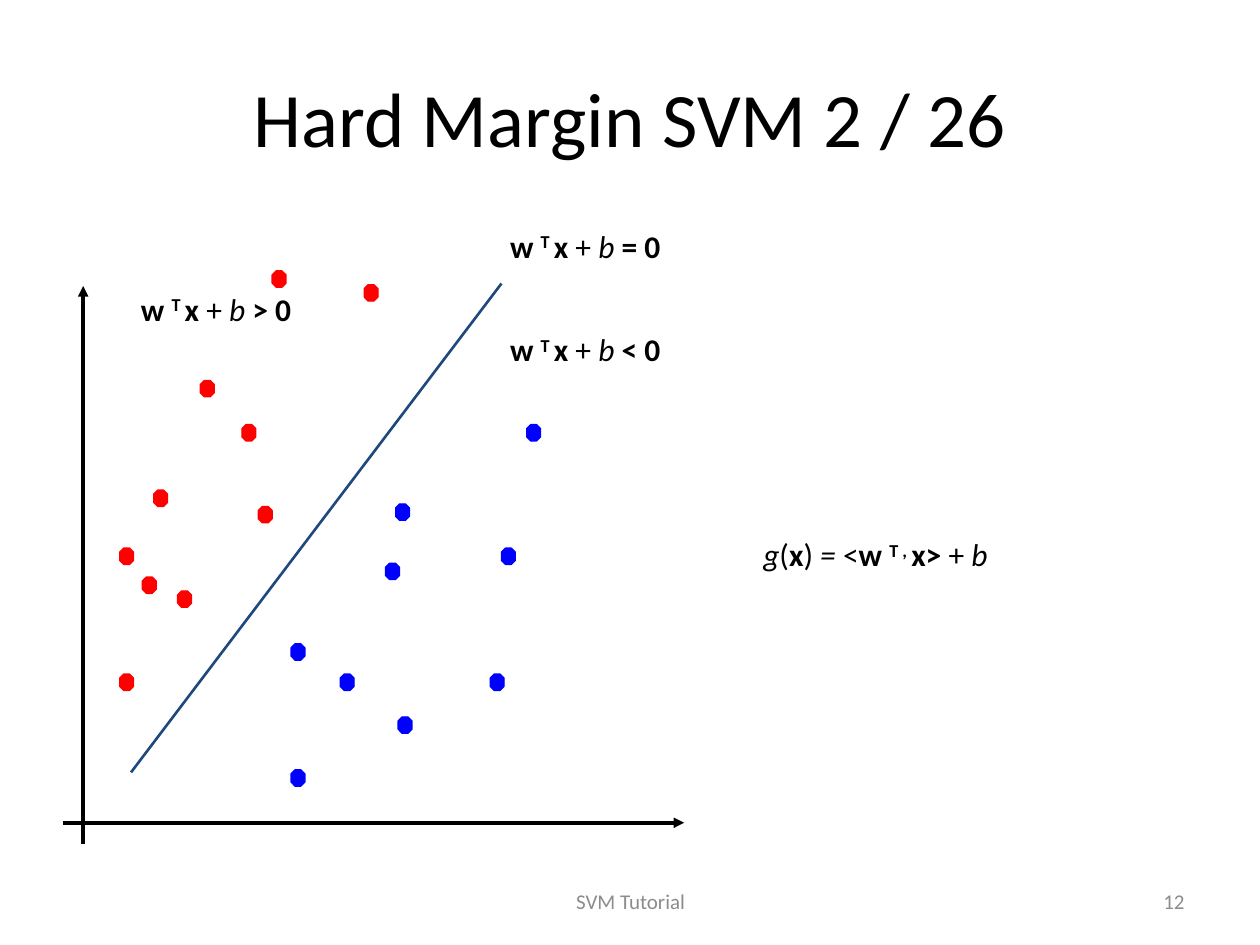
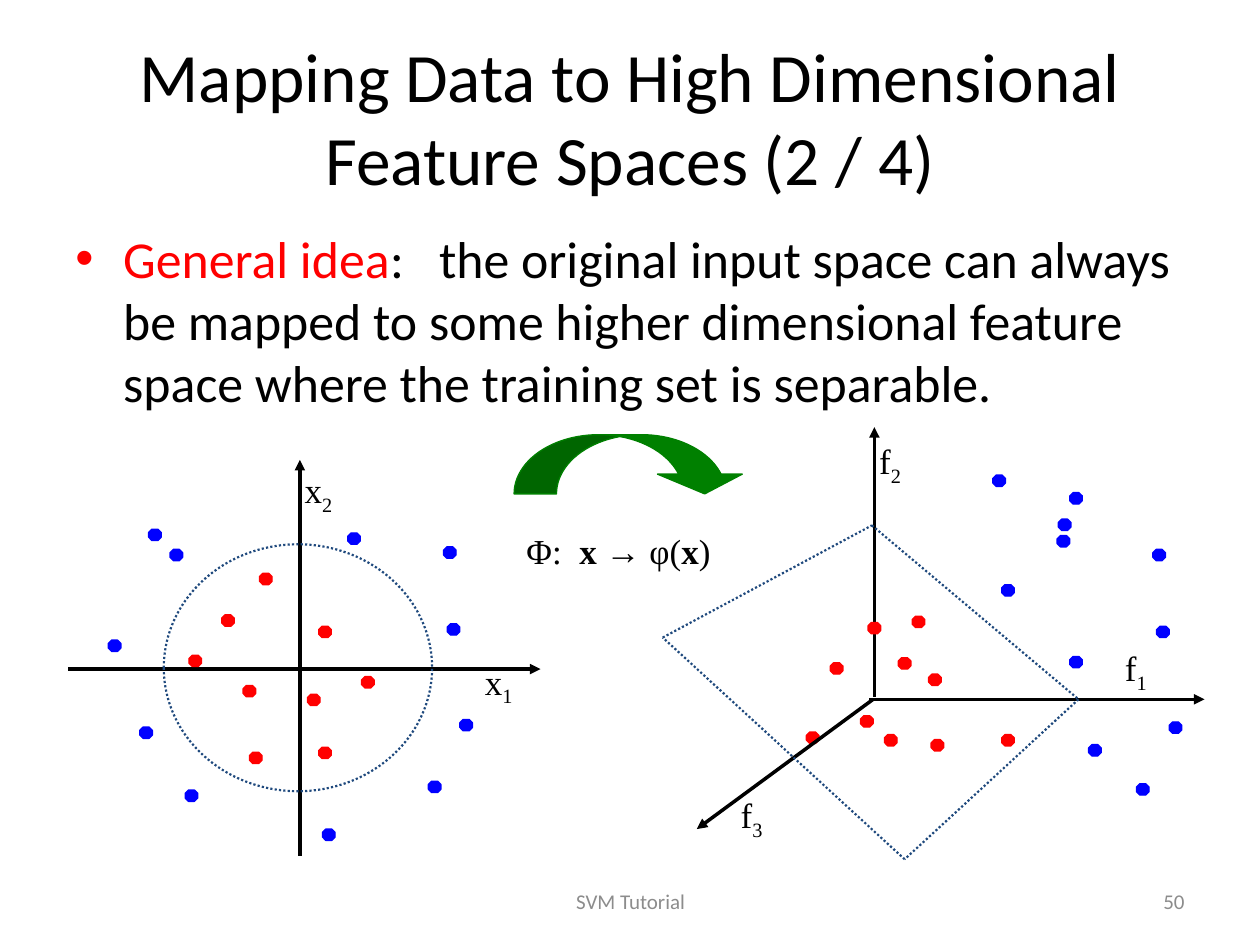
import pptx
import pptx.util
import pptx.dml.color
import pptx.enum.dml
import pptx.enum.shapes
import pptx.enum.text
import pptx.oxml
import pptx.oxml.ns

Inches = pptx.util.Inches
Pt = pptx.util.Pt
RGB = pptx.dml.color.RGBColor.from_string
ALIGN = pptx.enum.text.PP_ALIGN
ANCHOR = pptx.enum.text.MSO_ANCHOR
SHAPE = pptx.enum.shapes.MSO_SHAPE
DOTTED = pptx.enum.dml.MSO_LINE.ROUND_DOT
NS = pptx.oxml.ns.nsdecls("a")

COLORS = {
    "text": "000000", "footer": "8C8C8C", "boundary": "1F497D",
    "red": "FF0000", "blue": "0000FF", "arrow": "008000",
}
SANS, SERIF = "Calibri", "Times New Roman"


def add_text(slide, box, runs, size, font=SANS, color="text",
             align=ALIGN.LEFT, anchor=ANCHOR.TOP):
    """Add one paragraph; run styles: b bold, i italic, ^ superscript, _ subscript."""
    frame = slide.shapes.add_textbox(*map(Inches, box)).text_frame
    frame.word_wrap = True
    frame.vertical_anchor = anchor
    paragraph = frame.paragraphs[0]
    paragraph.alignment = align
    for text, style in runs:
        run = paragraph.add_run()
        run.text = text
        run.font.name, run.font.size = font, Pt(size)
        run.font.color.rgb = RGB(COLORS[color])
        run.font.bold, run.font.italic = "b" in style, "i" in style
        for mark, baseline in (("^", "30000"), ("_", "-25000")):
            if mark in style:
                run.font._element.set("baseline", baseline)
    return paragraph


def add_line(slide, start, end, color="text", width=2, dash=None, arrow=False):
    line = slide.shapes.add_connector(
        pptx.enum.shapes.MSO_CONNECTOR.STRAIGHT, *map(Inches, start + end))
    line.line.color.rgb = RGB(COLORS[color])
    line.line.width = Pt(width)
    if dash:
        line.line.dash_style = dash
    if arrow:
        line.line._get_or_add_ln().append(
            pptx.oxml.parse_xml(f'<a:tailEnd {NS} type="triangle"/>'))
    line._element.spPr.append(pptx.oxml.parse_xml(f"<a:effectLst {NS}/>"))


prs = pptx.Presentation()
prs.slide_width, prs.slide_height = Inches(10), Inches(7.5)

# Titles and footers
slides = []
for title, title_size, number in (
        ("Hard Margin SVM 2 / 26", 44, "12"),
        ("Mapping Data to High Dimensional Feature Spaces (2 / 4)", 39.6, "50")):
    slide = prs.slides.add_slide(prs.slide_layouts[6])
    add_text(slide, (0.5, 0.3, 9, 1.25), [(title, "")], title_size,
             align=ALIGN.CENTER, anchor=ANCHOR.MIDDLE)
    add_text(slide, (3.42, 6.95, 3.17, 0.4), [("SVM Tutorial", "")], 12,
             color="footer", align=ALIGN.CENTER, anchor=ANCHOR.MIDDLE)
    add_text(slide, (7.17, 6.95, 2.33, 0.4), [(number, "")], 12,
             color="footer", align=ALIGN.RIGHT, anchor=ANCHOR.MIDDLE)
    slides.append(slide)
margin, mapping = slides

# Axes
for slide, start, end in (
        (margin, (0.66, 6.7), (0.66, 2.27)),
        (margin, (0.5, 6.53), (5.43, 6.53)),
        (mapping, (2.38, 6.79), (2.38, 3.65)),
        (mapping, (0.54, 5.31), (4.29, 5.31)),
        (mapping, (6.94, 5.53), (6.94, 3.39)),
        (mapping, (6.9, 5.55), (9.56, 5.55))):
    add_line(slide, start, end, arrow=True)

# Data points of both classes: top left corners by plot
margin_dot, mapping_dot = (0.11, 0.13), (0.1, 0.09)
classes = (
    (margin, margin_dot, "red", (
        (1.92, 3.37), (1.22, 3.89), (1.41, 4.69), (0.95, 5.35), (1.59, 3.02),
        (0.95, 4.35), (1.13, 4.58), (2.05, 4.02), (2.16, 2.15), (2.89, 2.26))),
    (margin, margin_dot, "blue", (
        (3.14, 4), (2.7, 5.35), (3.89, 5.35), (2.31, 6.11), (3.06, 4.47),
        (2.31, 5.11), (3.16, 5.69), (3.98, 4.35), (4.18, 3.37))),
    # Input space
    (mapping, mapping_dot, "red", (
        (1.76, 4.88), (1.93, 5.44), (2.53, 5.93), (2.06, 4.55), (1.5, 5.2),
        (1.98, 5.97), (2.53, 4.97), (2.87, 5.37), (2.44, 5.51))),
    (mapping, mapping_dot, "blue", (
        (3.55, 4.95), (3.4, 6.2), (0.86, 5.08), (2.56, 6.58), (3.65, 5.71),
        (1.47, 6.27), (1.11, 5.77), (1.18, 4.2), (2.76, 4.23), (1.35, 4.36),
        (3.52, 4.34))),
    # Feature space
    (mapping, mapping_dot, "red", (
        (7.24, 4.89), (6.59, 5.26), (7.02, 5.83), (7.95, 5.83), (6.89, 4.94),
        (7.13, 5.22), (7.39, 5.87), (7.37, 5.35), (6.83, 5.68), (6.4, 5.81))),
    (mapping, mapping_dot, "blue", (
        (9.18, 4.97), (9.02, 6.22), (8.49, 3.91), (8.49, 5.21), (9.28, 5.73),
        (7.95, 4.64), (8.64, 5.91), (8.4, 4.12), (8.39, 4.25), (7.88, 3.77),
        (9.15, 4.36))),
)
for slide, dot_size, color, corners in classes:
    for corner in corners:
        point = slide.shapes.add_shape(SHAPE.OCTAGON, *map(Inches, corner + dot_size))
        point.shadow.inherit = False
        point.fill.solid()
        point.fill.fore_color.rgb = RGB(COLORS[color])
        point.line.color.rgb = RGB(COLORS[color])
        point.line.width = Pt(0.75)

# Hard margin: separating line, half-plane labels and decision function
add_line(margin, (1.04, 6.13), (3.98, 2.25), "boundary", 1.5)
for left, top, relation in ((3.95, 1.75, " = 0"), (3.95, 2.57, " < 0"),
                            (1.02, 2.25, " > 0")):
    add_text(margin, (left, top, 3.22, 0.4),
             [("w ", "b"), ("T ", "b^"), ("x ", "b"), ("+ ", ""), ("b", "i"),
              (relation, "b")], 18)
add_text(margin, (5.96, 4.2, 3.54, 0.4),
         [("g", "i"), ("(", ""), ("x", "b"), (")", ""), (" = ", "i"), ("<", ""),
          ("w ", "b"), ("T , ", "b^"), ("x> ", "b"), ("+ ", ""), ("b", "i")], 18)

# Mapping: general idea bullet
idea = add_text(
    mapping, (0.5, 1.75, 9, 1.92),
    [("General idea", ""), (":", ""), (" ", ""),
     ("the original input space can always be mapped to some higher dimensional "
      "feature space where the training set is separable.", "")], 29.6)
idea.runs[0].font.color.rgb = RGB(COLORS["red"])
idea_format = idea._p.get_or_add_pPr()
idea_format.set("marL", str(Inches(0.38)))
idea_format.set("indent", str(Inches(-0.38)))
for bullet in (f'<a:buFont {NS} typeface="Arial"/>', f'<a:buChar {NS} char="•"/>'):
    idea_format.append(pptx.oxml.parse_xml(bullet))

# Mapping: circle in the input space, plane in the feature space
circle = mapping.shapes.add_shape(SHAPE.OVAL, *map(Inches, (1.3, 4.32, 2.13, 1.96)))
circle.shadow.inherit = False
circle.fill.background()
circle.line.color.rgb = RGB(COLORS["boundary"])
circle.line.width = Pt(1.25)
circle.line.dash_style = DOTTED
add_line(mapping, (6.93, 5.55), (5.53, 6.58), arrow=True)
plane = ((6.92, 4.17), (8.56, 5.55), (7.18, 6.82), (5.26, 5.06))
for start, end in zip(plane, plane[1:] + plane[:1]):
    add_line(mapping, start, end, "boundary", 1.25, DOTTED)

# Mapping: arrow and function between the spaces
bend = mapping.shapes.add_shape(SHAPE.CURVED_DOWN_ARROW,
                                *map(Inches, (4.08, 3.45, 1.85, 0.47)))
bend.shadow.inherit = False
for index, value in enumerate((0.717, 1.433, 0.333)):
    bend.adjustments[index] = value
bend.fill.solid()
bend.fill.fore_color.rgb = RGB(COLORS["arrow"])
bend.line.color.rgb = RGB(COLORS["arrow"])
bend.line.width = Pt(0.75)
phi = add_text(mapping, (4.08, 4.15, 2.15, 0.41),
               [("Φ:", ""), (" ", ""), ("x → ", "b"), ("φ(", ""), ("x", "b"),
                (")", "")], 20, SERIF)

# Wider gap after the colons, in hundredths of a point
for gap, extra in ((idea.runs[2], 1340), (phi.runs[1], 500)):
    gap.font._element.set("spc", str(extra))

# Mapping: axis labels
for left, top, axis, index in (
        (3.75, 5.19, "x", "1"), (2.32, 3.67, "x", "2"),
        (8.83, 5.08, "f", "1"), (6.88, 3.44, "f", "2"), (5.78, 6.25, "f", "3")):
    add_text(mapping, (left, top, 1.1, 0.44), [(axis, ""), (index, "_")], 20, SERIF)

prs.save("out.pptx")
